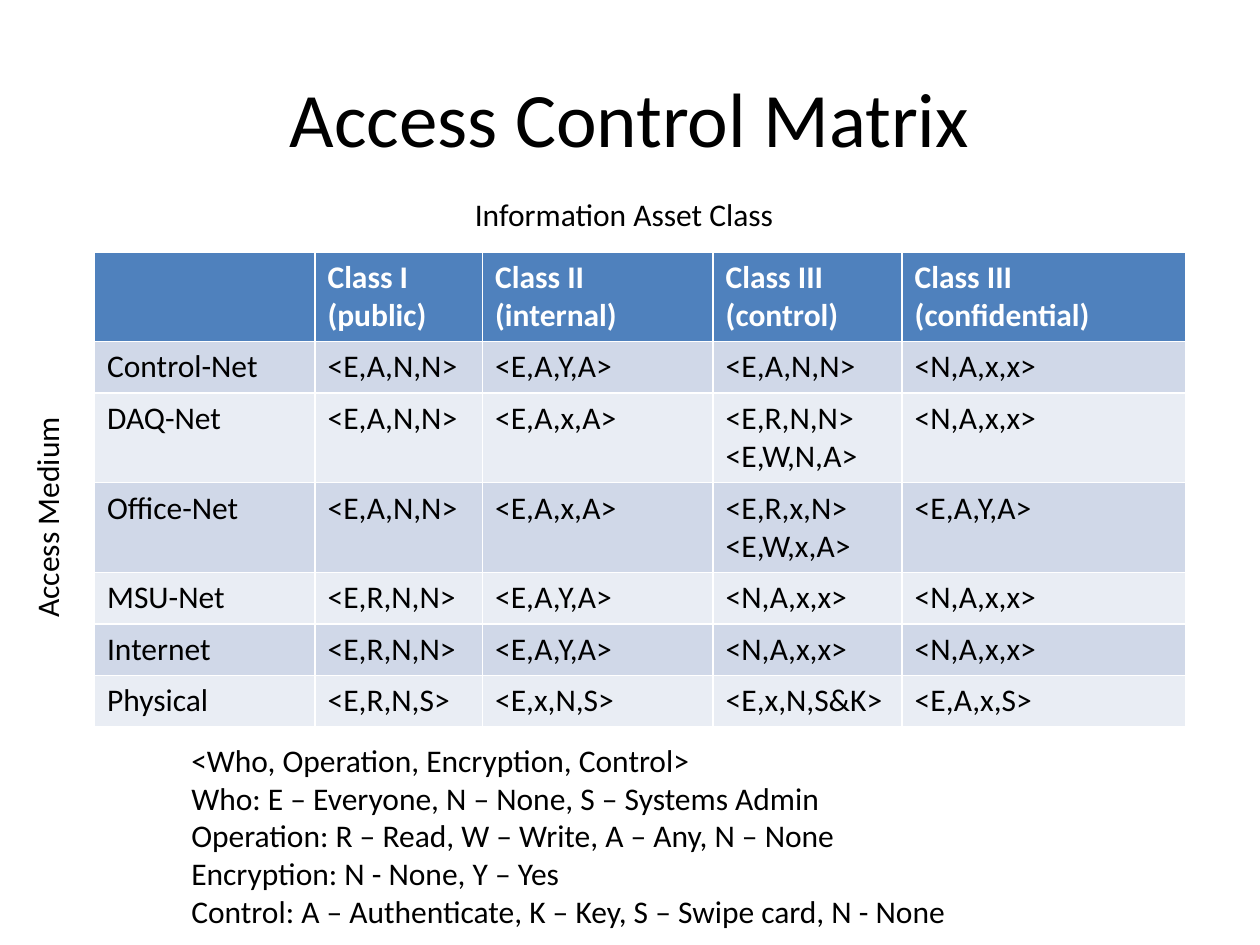
import pptx
import pptx.dml.color
import pptx.enum.text
import pptx.util

Inches = pptx.util.Inches
RGBColor = pptx.dml.color.RGBColor
Align = pptx.enum.text.PP_ALIGN
Anchor = pptx.enum.text.MSO_ANCHOR
AutoSize = pptx.enum.text.MSO_AUTO_SIZE

BLACK = RGBColor(0x00, 0x00, 0x00)
WHITE = RGBColor(0xFF, 0xFF, 0xFF)
HEADER_BLUE = RGBColor(0x4F, 0x81, 0xBD)
BANDS = [RGBColor(0xD0, 0xD8, 0xE8), RGBColor(0xE9, 0xED, 0xF4)]

HEADING = "Access Control Matrix"
MATRIX = [
    ["", "Class I (public)", "Class II (internal)", "Class III (control)", "Class III (confidential)"],
    ["Control-Net", "<E,A,N,N>", "<E,A,Y,A>", "<E,A,N,N>", "<N,A,x,x>"],
    ["DAQ-Net", "<E,A,N,N>", "<E,A,x,A>", "<E,R,N,N> <E,W,N,A>", "<N,A,x,x>"],
    ["Office-Net", "<E,A,N,N>", "<E,A,x,A>", "<E,R,x,N> <E,W,x,A>", "<E,A,Y,A>"],
    ["MSU-Net", "<E,R,N,N>", "<E,A,Y,A>", "<N,A,x,x>", "<N,A,x,x>"],
    ["Internet", "<E,R,N,N>", "<E,A,Y,A>", "<N,A,x,x>", "<N,A,x,x>"],
    ["Physical", "<E,R,N,S>", "<E,x,N,S>", "<E,x,N,S&K>", "<E,A,x,S>"],
]
COLUMN_WIDTHS = [1.75, 1.33, 1.83, 1.5, 2.25]
ROW_HEIGHT = 0.41
LEGEND = [
    "<Who, Operation, Encryption, Control>",
    "Who: E – Everyone, N – None, S – Systems Admin",
    "Operation: R – Read, W – Write, A – Any, N – None",
    "Encryption: N - None, Y – Yes",
    "Control: A – Authenticate, K – Key, S – Swipe card, N - None",
]
LABELS = [
    {"lines": LEGEND, "at": (1.42, 5.83, 6.27, 1.92), "wrap": True, "vert": "horz"},
    {"lines": ["Access Medium"], "at": (0.17, 3.08, 0.5, 1.92), "wrap": True, "vert": "vert270"},
    {"lines": ["Information Asset Class"], "at": (3.67, 1.5, 2.59, 0.4), "wrap": False, "vert": "horz"},
]


def write(frame, lines, size=18, color=BLACK, bold=False):
    frame.text = "\n".join(lines)
    font_format = {"name": "Calibri", "size": pptx.util.Pt(size), "bold": bold}
    for paragraph in frame.paragraphs:
        for attribute, value in font_format.items():
            setattr(paragraph.font, attribute, value)
        paragraph.font.color.rgb = color


def add_heading(slide):
    heading = slide.shapes.title
    place = {"left": 0.5, "top": 0.3, "width": 9, "height": 1.25}
    for attribute, value in place.items():
        setattr(heading, attribute, Inches(value))
    write(heading.text_frame, [HEADING], size=44)
    heading.text_frame.vertical_anchor = Anchor.MIDDLE
    heading.text_frame.paragraphs[0].alignment = Align.CENTER


def add_matrix(slide):
    matrix = slide.shapes.add_table(
        len(MATRIX), len(COLUMN_WIDTHS), Inches(0.75), Inches(2),
        Inches(sum(COLUMN_WIDTHS)), Inches(ROW_HEIGHT * len(MATRIX)),
    ).table
    for column, width in zip(matrix.columns, COLUMN_WIDTHS):
        column.width = Inches(width)
    for row_index, entries in enumerate(MATRIX):
        matrix.rows[row_index].height = Inches(ROW_HEIGHT)
        is_header = row_index == 0
        for column_index, entry in enumerate(entries):
            cell = matrix.cell(row_index, column_index)
            cell.fill.solid()
            cell.fill.fore_color.rgb = HEADER_BLUE if is_header else BANDS[(row_index - 1) % 2]
            write(cell.text_frame, [entry], color=WHITE if is_header else BLACK, bold=is_header)


def add_label(slide, label):
    box = slide.shapes.add_textbox(*map(Inches, label["at"]))
    frame_format = {"word_wrap": label["wrap"], "auto_size": AutoSize.SHAPE_TO_FIT_TEXT}
    for attribute, value in frame_format.items():
        setattr(box.text_frame, attribute, value)
    box.element.txBody.bodyPr.set("vert", label["vert"])
    write(box.text_frame, label["lines"])


def main():
    deck = pptx.Presentation()
    deck.slide_width, deck.slide_height = Inches(10), Inches(7.5)
    slide = deck.slides.add_slide(deck.slide_layouts.get_by_name("Title Only"))
    add_heading(slide)
    add_matrix(slide)
    for label in LABELS:
        add_label(slide, label)
    deck.save("out.pptx")


if __name__ == "__main__":
    main()
